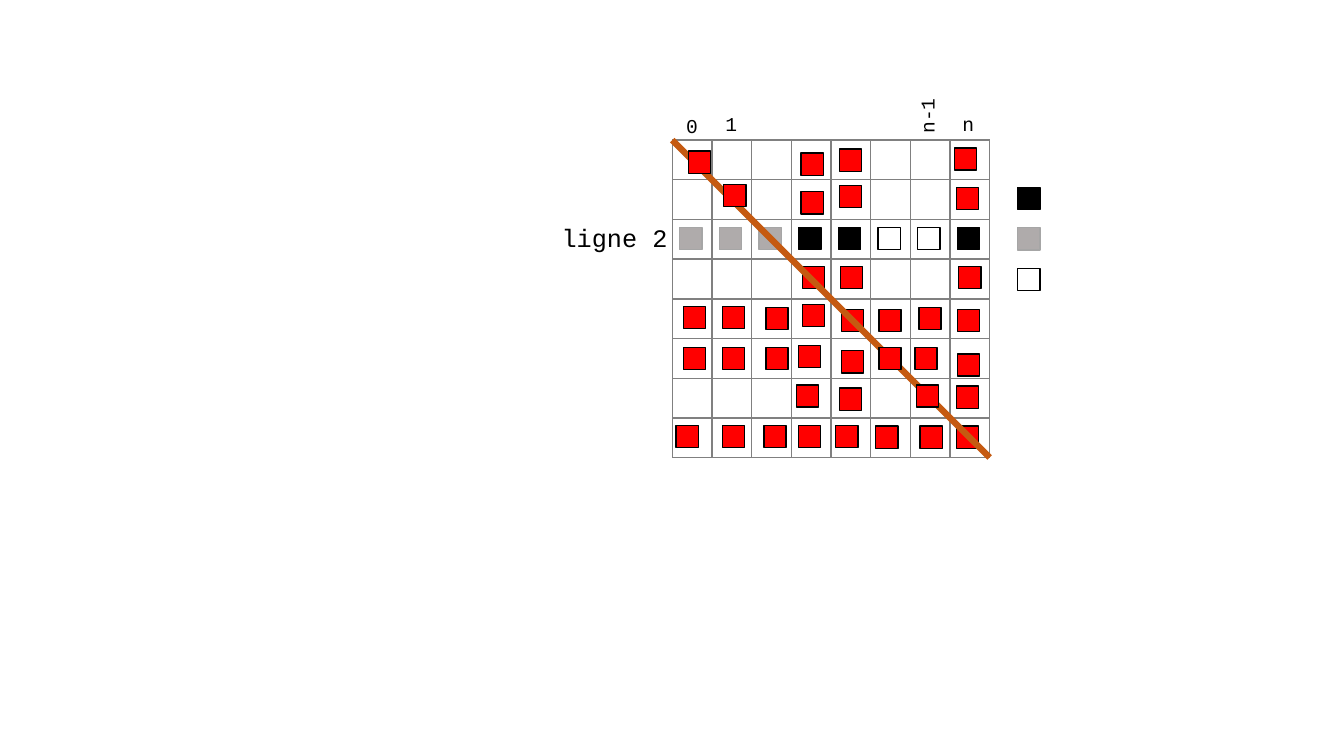
import pptx
import pptx.util
import pptx.dml.color
import pptx.enum.shapes
import pptx.enum.text
from lxml import etree

Cm = pptx.util.Cm
Pt = pptx.util.Pt
RGB = pptx.dml.color.RGBColor
ALIGN = pptx.enum.text.PP_ALIGN

COLORS = {
    "black": "000000",
    "gray": "AFABAB",
    "edge": "A6A6A6",
    "red": "FF0000",
    "grid": "808080",
    "slash": "C55A11",
}

deck = pptx.Presentation()
deck.slide_width = Cm(33.87)
deck.slide_height = Cm(19.05)
slide = deck.slides.add_slide(deck.slide_layouts[6])

# Matrix of 8 by 8 cells, each 1 cm wide
LEFT, TOP, COUNT, CELL = 16.94, 3.53, 8, 1
RIGHT, BASE = LEFT + COUNT * CELL, TOP + COUNT * CELL
SIDE = 0.56


def add_line(x1, y1, x2, y2, color, width):
    line = slide.shapes.add_connector(
        pptx.enum.shapes.MSO_CONNECTOR.STRAIGHT, Cm(x1), Cm(y1), Cm(x2), Cm(y2))
    line.line.color.rgb = RGB.from_string(COLORS[color])
    line.line.width = Pt(width)
    etree.SubElement(line._element.spPr, pptx.oxml.ns.qn("a:effectLst"))


def add_mark(x, y, fill):
    mark = slide.shapes.add_shape(
        pptx.enum.shapes.MSO_SHAPE.RECTANGLE, Cm(x), Cm(y), Cm(SIDE), Cm(SIDE))
    mark.shadow.inherit = False
    if fill:
        mark.fill.solid()
        mark.fill.fore_color.rgb = RGB.from_string(COLORS[fill])
    else:
        mark.fill.background()
    edge = "edge" if fill == "gray" else "black"
    mark.line.color.rgb = RGB.from_string(COLORS[edge])
    mark.line.width = Pt(1)


# Grid lines
for step in range(COUNT + 1):
    x, y = LEFT + step * CELL, TOP + step * CELL
    add_line(x, TOP, x, BASE, "grid", 1)
    add_line(LEFT, y, RIGHT, y, "grid", 1)

# Labels: text, left, top, width, height, size, turn
LABELS = [
    ("ligne 2", 13.31, 5.49, 3.76, 1.02, 18, 0),
    ("0", 16.94, 2.74, 1, 0.86, 14, 0),
    ("1", 17.93, 2.69, 1, 0.86, 14, 0),
    ("n-1", 22.45, 2.49, 1.83, 0.86, 14, 270),
    ("n", 23.9, 2.69, 1, 0.86, 14, 0),
]
for text, x, y, width, height, size, turn in LABELS:
    box = slide.shapes.add_textbox(Cm(x), Cm(y), Cm(width), Cm(height))
    box.rotation = turn
    box.text_frame.word_wrap = True
    para = box.text_frame.paragraphs[0]
    para.text = text
    para.alignment = ALIGN.RIGHT if size == 18 else ALIGN.CENTER
    font = para.runs[0].font
    font.name = "Courier New"
    font.size = Pt(size)
    font.color.rgb = RGB.from_string(COLORS["black"])

# Marks of line 2
ROW = ["gray"] * 3 + ["black"] * 2 + [None] * 2 + ["black"]
for col, fill in enumerate(ROW):
    add_mark(17.13 + col * CELL, 5.73, fill)

# Key on the right
for step, fill in enumerate(["black", "gray", None]):
    add_mark(25.65, 4.72 + step * 1.02, fill)

# Red marks, row by row, placed by hand
UNDER = [
    (20.19, 3.86), (21.16, 3.76), (24.05, 3.73),
    (20.19, 4.83), (21.16, 4.67), (24.1, 4.72),
    (20.22, 6.71), (21.18, 6.71), (24.16, 6.71),
    (17.22, 7.72), (18.21, 7.72), (19.3, 7.75), (20.22, 7.67),
    (21.21, 7.8), (22.15, 7.8), (23.16, 7.75), (24.13, 7.8),
    (17.22, 8.76), (18.21, 8.76), (19.3, 8.76), (20.12, 8.71),
    (21.21, 8.84), (23.06, 8.76), (24.13, 8.92),
    (20.07, 9.7), (21.16, 9.78), (24.1, 9.73),
    (17.04, 10.72), (18.21, 10.72), (19.25, 10.72), (20.12, 10.72),
    (21.06, 10.72), (22.07, 10.74), (23.19, 10.74), (24.1, 10.74),
]
OVER = [(17.35, 3.81), (18.24, 4.65), (22.15, 8.76), (23.09, 9.7)]

for x, y in UNDER:
    add_mark(x, y, "red")

# Diagonal, with some red marks on top of it
add_line(RIGHT, BASE, LEFT, TOP, "slash", 4.5)
for x, y in OVER:
    add_mark(x, y, "red")

deck.save("out.pptx")
